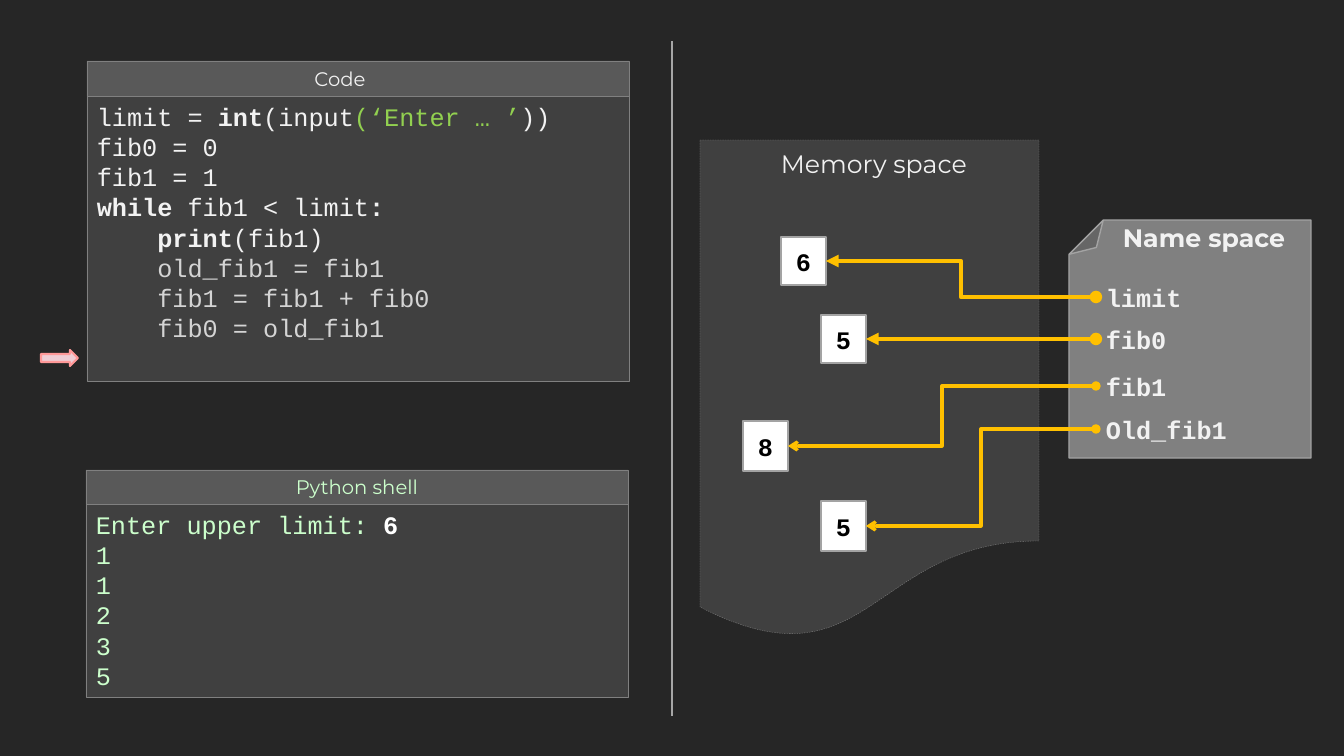
"""Build a slide that shows Fibonacci code beside its memory and name spaces."""
import dataclasses

import lxml.etree
import pptx
import pptx.dml.color
import pptx.enum.dml
import pptx.enum.shapes
import pptx.enum.text
import pptx.oxml.ns
import pptx.util

SHAPE = pptx.enum.shapes.MSO_SHAPE
CONNECTOR = pptx.enum.shapes.MSO_CONNECTOR
ALIGN = pptx.enum.text.PP_ALIGN
ANCHOR = pptx.enum.text.MSO_ANCHOR


@dataclasses.dataclass(frozen=True)
class Theme:
    """Colours, fonts and type sizes of the slide."""
    back: str = "262626"
    panel: str = "404040"
    header: str = "595959"
    edge: str = "808080"
    divider: str = "A6A6A6"
    border: str = "A3A3A3"
    white: str = "FFFFFF"
    black: str = "000000"
    text: str = "F2F2F2"
    dim: str = "D4D4D4"
    string: str = "92D050"
    shell: str = "CCFFCC"
    link: str = "FFC000"
    marker: str = "EFCDD5"
    marker_edge: str = "FF9999"
    mono: str = "Courier New"
    sans: str = "Montserrat"
    body_size: int = 18
    header_size: int = 14


T = Theme()
EMU_PER_PX = 914400 / 100.8
SLIDE_W, SLIDE_H = 1344, 756
BOX_W, LABEL_X, LABEL_H, CHAR_W, LABEL_PAD = 45, 1096, 40, 15, 22

CODE = [
    [("limit = ", T.text, False), ("int", T.text, True), ("(input", T.text, False),
     ("(‘Enter … ’", T.string, False), ("))", T.text, False)],
    [("fib0 = 0", T.text, False)],
    [("fib1 = 1", T.text, False)],
    [("while ", T.text, True), ("fib1 < limit", T.text, False), (":", T.text, True)],
    [("    ", T.text, False), ("print", T.text, True), ("(fib1)", T.text, False)],
    [("    old_fib1 = fib1", T.dim, False)],
    [("    fib1 = fib1 + fib0", T.dim, False)],
    [("    fib0 = old_fib1", T.dim, False)],
]
SHELL = [[("Enter upper limit: ", T.shell, False), ("6", T.white, True)]]
SHELL += [[(number, T.shell, False)] for number in ("1", "1", "2", "3", "5")]

PANELS = [
    {"title": "Code", "color": T.text, "lines": CODE, "shift": 36,
     "x": 87, "y": 61, "w": 542, "head_h": 35, "body_h": 285},
    {"title": "Python shell", "color": T.shell, "lines": SHELL, "shift": 0,
     "x": 86, "y": 470, "w": 542, "head_h": 34, "body_h": 193},
]
HEADINGS = [
    ("Memory space", False, (771, 143, 207, 40)),
    ("Name space", True, (1113, 217, 185, 40)),
]
BINDINGS = [
    {"name": "limit", "y": 297, "value": "6", "box": (781, 237, 48), "width": 3, "tip": "triangle"},
    {"name": "fib0", "y": 339, "value": "5", "box": (821, 315, 48), "width": 3, "tip": "triangle"},
    {"name": "fib1", "y": 386, "value": "8", "box": (743, 421, 50), "width": 2.25, "tip": "arrow"},
    {"name": "Old_fib1", "y": 429, "value": "5", "box": (821, 501, 50), "width": 2.25, "tip": "arrow"},
]


def px(*values):
    return [pptx.util.Emu(round(v * EMU_PER_PX)) for v in values]


def rgb(value):
    return pptx.dml.color.RGBColor.from_string(value)


def assign(target, values):
    for name, value in values.items():
        setattr(target, name, value)


def set_line(line, color, width):
    line.color.rgb = rgb(color)
    line.width = pptx.util.Pt(width)


def add_text(sp, lines, font=T.mono, size=T.body_size, align=ALIGN.LEFT, **frame):
    tf = sp.text_frame
    assign(tf, {"word_wrap": True, "vertical_anchor": ANCHOR.TOP, **frame})
    for i, runs in enumerate(lines):
        p = tf.add_paragraph() if i else tf.paragraphs[0]
        p.alignment = align
        for text, color, bold in runs:
            r = p.add_run()
            r.text = text
            assign(r.font, {"name": font, "size": pptx.util.Pt(size), "bold": bold})
            r.font.color.rgb = rgb(color)


def add_box(slide, kind, place, fill, edge, width):
    sp = slide.shapes.add_shape(kind, *px(*place))
    sp.shadow.inherit = False
    sp.fill.solid()
    sp.fill.fore_color.rgb = rgb(fill)
    set_line(sp.line, edge, width)
    return sp


def add_label(slide, place, text, bold, font):
    sp = slide.shapes.add_textbox(*px(*place))
    add_text(sp, [[(text, T.text, bold)]], font, word_wrap=False)


def add_line(slide, kind, ends, color, width, tips=()):
    sp = slide.shapes.add_connector(kind, *px(*ends))
    set_line(sp.line, color, width)
    qn = pptx.oxml.ns.qn
    ln = sp._element.spPr.find(qn("a:ln"))
    for tag, tip in zip(("a:headEnd", "a:tailEnd"), tips):
        lxml.etree.SubElement(ln, qn(tag)).set("type", tip)
    lxml.etree.SubElement(sp._element.spPr, qn("a:effectLst"))


def add_panel(slide, panel):
    x, y, w, head_h = (panel[key] for key in ("x", "y", "w", "head_h"))
    body = add_box(slide, SHAPE.RECTANGLE, (x, y + head_h, w, panel["body_h"]), T.panel, T.edge, 0.5)
    add_text(body, panel["lines"])
    head = add_box(slide, SHAPE.RECTANGLE, (x, y, w, head_h), T.header, T.edge, 0.5)
    add_text(head, [[(panel["title"], panel["color"], False)]], T.sans, T.header_size,
             ALIGN.CENTER, vertical_anchor=ANCHOR.MIDDLE,
             margin_right=px(10 + panel["shift"])[0])


def add_name_sheet(slide, place):
    sp = add_box(slide, SHAPE.FOLDED_CORNER, place, T.edge, T.border, 1)
    sp.rotation = 180
    qn = pptx.oxml.ns.qn
    guides = next(sp._element.iter(qn("a:avLst")))
    fold = lxml.etree.SubElement(guides, qn("a:gd"))
    fold.set("name", "adj")
    fold.set("fmla", "val 14400")


def add_binding(slide, binding):
    x, y, h = binding["box"]
    box = add_box(slide, SHAPE.RECTANGLE, (x, y, BOX_W, h), T.white, T.border, 1.5)
    add_text(box, [[(binding["value"], T.black, True)]], align=ALIGN.CENTER,
             vertical_anchor=ANCHOR.MIDDLE)
    name, mid = binding["name"], binding["y"]
    label_w = CHAR_W * len(name) + LABEL_PAD
    add_label(slide, (LABEL_X, mid - LABEL_H // 2, label_w, LABEL_H), name, True, T.mono)
    add_line(slide, CONNECTOR.ELBOW, (LABEL_X, mid, x + BOX_W, y + h // 2), T.link,
             binding["width"], ("oval", binding["tip"]))


def main():
    prs = pptx.Presentation()
    prs.slide_width, prs.slide_height = px(SLIDE_W, SLIDE_H)
    slide = prs.slides.add_slide(prs.slide_layouts[6])
    slide.background.fill.solid()
    slide.background.fill.fore_color.rgb = rgb(T.back)

    add_line(slide, CONNECTOR.STRAIGHT, (672, 716, 672, 41), T.divider, 2)
    for panel in PANELS:
        add_panel(slide, panel)
    add_box(slide, SHAPE.RIGHT_ARROW, (41, 350, 37, 16), T.marker, T.marker_edge, 1.5)

    memory = add_box(slide, SHAPE.FLOWCHART_DOCUMENT, (700, 140, 339, 500), T.panel, T.edge, 0.25)
    memory.line.dash_style = pptx.enum.dml.MSO_LINE.DASH
    add_name_sheet(slide, (1069, 220, 242, 238))
    for text, bold, place in HEADINGS:
        add_label(slide, place, text, bold, T.sans)
    for binding in BINDINGS:
        add_binding(slide, binding)
    prs.save("out.pptx")


if __name__ == "__main__":
    main()
